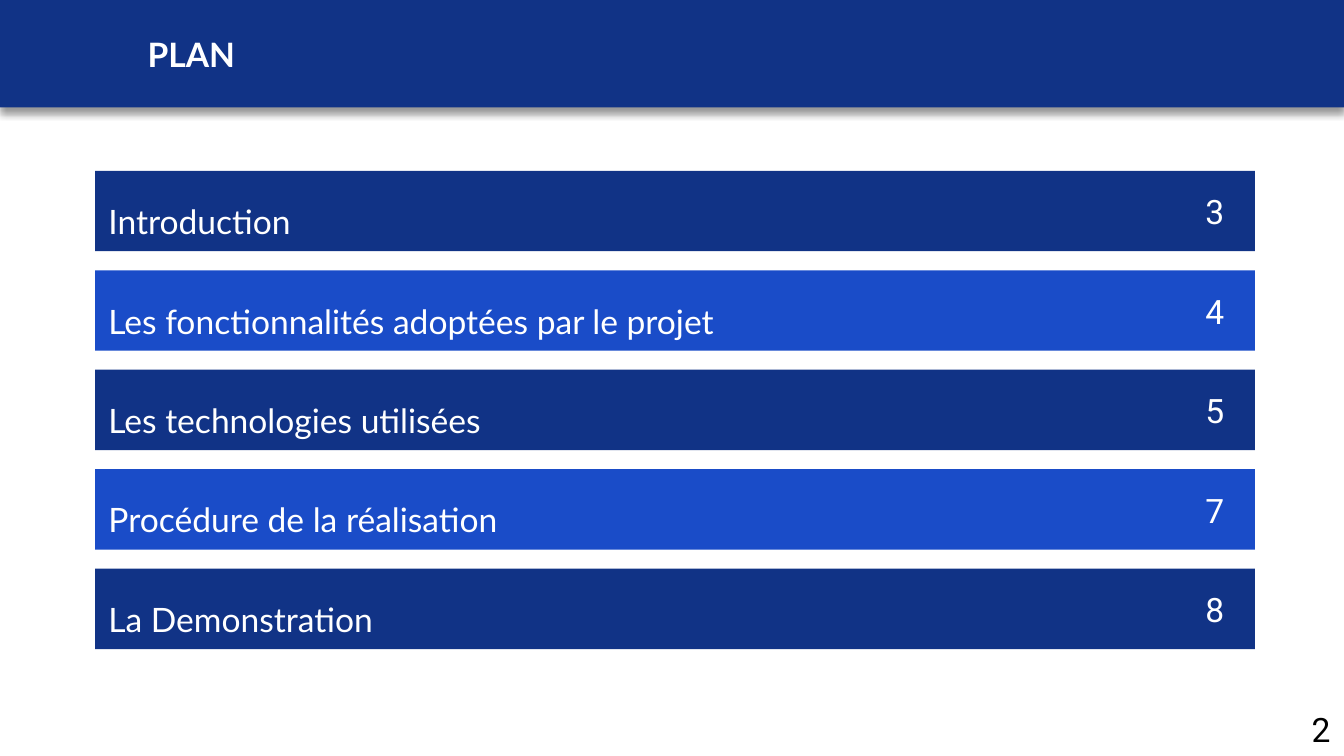
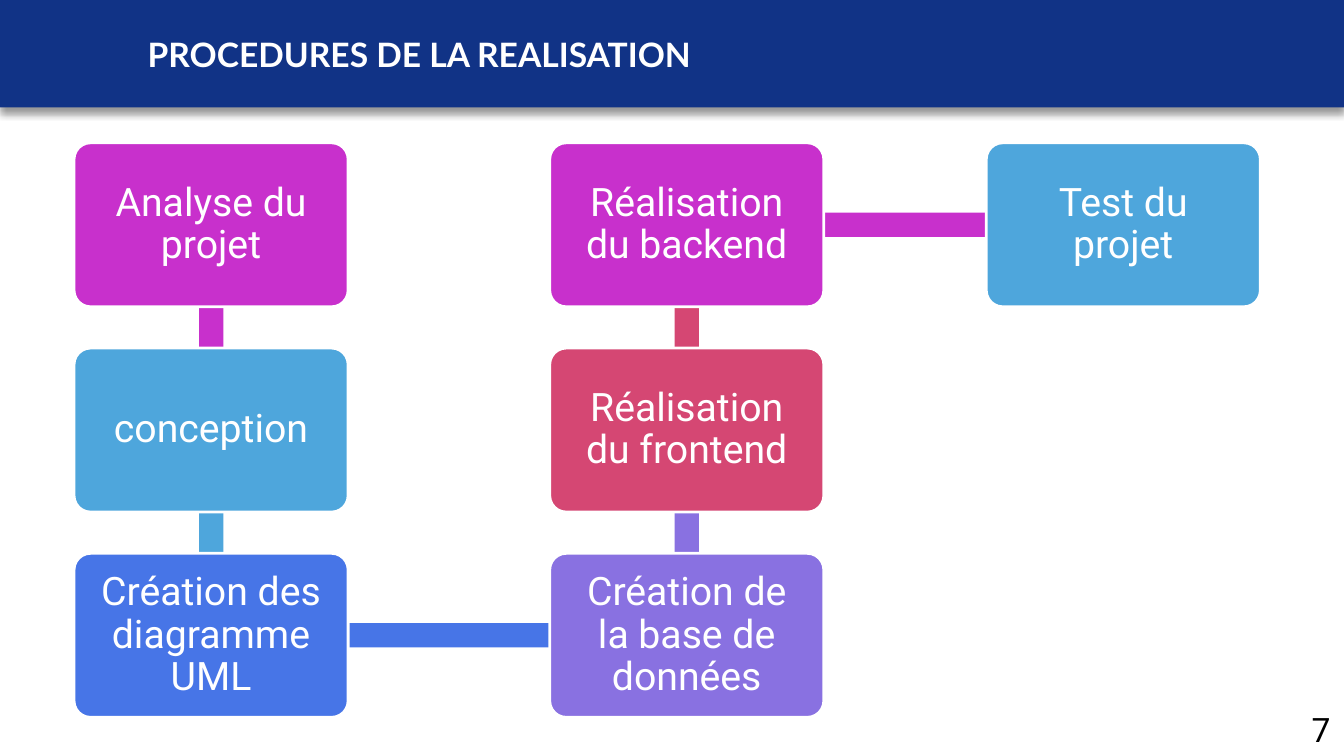
from dataclasses import dataclass

from lxml.etree import SubElement
from pptx import Presentation
from pptx.dml.color import RGBColor
from pptx.enum.shapes import MSO_SHAPE as Shape
from pptx.enum.text import MSO_ANCHOR as Anchor, MSO_AUTO_SIZE as AutoSize, PP_ALIGN as Align
from pptx.oxml.ns import qn
from pptx.util import Cm, Pt


@dataclass(frozen=True)
class Theme:
    navy: str = "113386"
    royal: str = "1A4CC8"
    white: str = "FFFFFF"
    black: str = "000000"
    magenta: str = "C830CC"
    sky: str = "4EA6DC"
    blue: str = "4775E7"
    violet: str = "8971E1"
    rose: str = "D54773"
    heading: str = "Lato"
    body: str = "Roboto"
    text_size: int = 18
    step_size: int = 21


THEME = Theme()


@dataclass(frozen=True)
class Chapter:
    title: str
    page: int


@dataclass(frozen=True)
class Step:
    text: str
    col: int
    row: int
    color: str


# Lengths in centimetres
SLIDE_W, SLIDE_H, BAND_H = 25.4, 14.29, 2.03
BAR_X, BAR_Y, BAR_W, BAR_H, BAR_PITCH = 1.8, 3.23, 21.92, 1.52, 1.88
PAGE_X, PAGE_DY = 22.53, 0.26
NUMBER_W, NUMBER_H = 0.86, 1.02
STEP_COLS, STEP_Y, STEP_PITCH = (1.4, 10.39, 18.64), 2.7, 3.88
STEP_W, STEP_H, LINK_W = 5.18, 3.1, 0.46

CHAPTERS = (
    Chapter("Introduction", 3),
    Chapter("Les fonctionnalités adoptées par le projet", 4),
    Chapter("Les technologies utilisées", 5),
    Chapter("Procédure de la réalisation", 7),
    Chapter("La Demonstration", 8),
)

STEPS = (
    Step("Analyse du projet", 0, 0, THEME.magenta),
    Step("conception", 0, 1, THEME.sky),
    Step("Création des diagramme UML", 0, 2, THEME.blue),
    Step("Création de la base de données", 1, 2, THEME.violet),
    Step("Réalisation du frontend", 1, 1, THEME.rose),
    Step("Réalisation du backend", 1, 0, THEME.magenta),
    Step("Test du projet", 2, 0, THEME.sky),
)


def put_text(sp, text: str, *, font: str = THEME.body, size: int = THEME.text_size,
             color: str = THEME.white, bold: bool = False, align=Align.LEFT,
             anchor=Anchor.MIDDLE, spacing: float = 1.0, wrap: bool = True) -> None:
    tf = sp.text_frame
    tf.word_wrap = wrap
    tf.auto_size = AutoSize.NONE if wrap else AutoSize.SHAPE_TO_FIT_TEXT
    tf.vertical_anchor = anchor
    p = tf.paragraphs[0]
    p.alignment = align
    p.line_spacing = spacing
    r = p.add_run()
    r.text = text
    r.font.name = font
    r.font.size = Pt(size)
    r.font.bold = bold
    r.font.color.rgb = RGBColor.from_string(color)


def paint(sp, color: str) -> None:
    sp.fill.solid()
    sp.fill.fore_color.rgb = RGBColor.from_string(color)


def add_box(s, kind, x: float, y: float, w: float, h: float, color: str):
    sp = s.shapes.add_shape(kind, Cm(x), Cm(y), Cm(w), Cm(h))
    sp.shadow.inherit = False
    paint(sp, color)
    sp.line.fill.background()
    return sp


def add_number(s, number: int, x: float, y: float, color: str) -> None:
    sp = s.shapes.add_textbox(Cm(x), Cm(y), Cm(NUMBER_W), Cm(NUMBER_H))
    put_text(sp, str(number), color=color, anchor=Anchor.TOP, wrap=False)


def add_band_shadow(sp) -> None:
    effects = SubElement(sp.element.spPr, qn("a:effectLst"))
    shadow = SubElement(effects, qn("a:outerShdw"), blurRad=str(Pt(4)),
                        dist=str(Pt(3)), dir="5400000", rotWithShape="0")
    color = SubElement(shadow, qn("a:srgbClr"), val=THEME.black)
    SubElement(color, qn("a:alpha"), val="40000")


def add_slide(prs, title: str, number: int):
    """Add a slide with its title band and page number."""
    s = prs.slides.add_slide(prs.slide_layouts[5])
    sp = s.shapes.title
    sp.left, sp.top, sp.width, sp.height = Cm(0), Cm(0), Cm(SLIDE_W), Cm(BAND_H)
    paint(sp, THEME.navy)
    add_band_shadow(sp)
    sp.text_frame.margin_left = Cm(2.79)
    put_text(sp, title, font=THEME.heading, bold=True)
    add_number(s, number, SLIDE_W - NUMBER_W, SLIDE_H - NUMBER_H, THEME.black)
    return s


def add_chapter(s, chapter: Chapter, index: int) -> None:
    y = BAR_Y + index * BAR_PITCH
    color = THEME.royal if index % 2 else THEME.navy
    sp = add_box(s, Shape.RECTANGLE, BAR_X, y, BAR_W, BAR_H, color)
    put_text(sp, chapter.title, font=THEME.heading, spacing=1.5)
    add_number(s, chapter.page, PAGE_X, y + PAGE_DY, THEME.white)


def step_center(step: Step) -> tuple[float, float]:
    return (STEP_COLS[step.col] + STEP_W / 2,
            STEP_Y + step.row * STEP_PITCH + STEP_H / 2)


def add_link(s, start: Step, end: Step) -> None:
    """Join two step centres; the boxes drawn later cover the ends."""
    (x1, y1), (x2, y2) = step_center(start), step_center(end)
    length = abs(x2 - x1) + abs(y2 - y1)
    sp = add_box(s, Shape.RECTANGLE, (x1 + x2 - length) / 2,
                 (y1 + y2 - LINK_W) / 2, length, LINK_W, start.color)
    if start.col == end.col:
        sp.rotation = 90 if end.row > start.row else 270


def add_step(s, step: Step) -> None:
    x, y = step_center(step)
    sp = add_box(s, Shape.ROUNDED_RECTANGLE, x - STEP_W / 2, y - STEP_H / 2,
                 STEP_W, STEP_H, step.color)
    sp.adjustments[0] = 0.1
    sp.line.color.rgb = RGBColor.from_string(THEME.white)
    sp.line.width = Pt(1.5)
    tf = sp.text_frame
    tf.margin_left = tf.margin_right = Cm(0.28)
    put_text(sp, step.text, size=THEME.step_size, align=Align.CENTER, spacing=0.9)


def main() -> None:
    prs = Presentation()
    prs.slide_width, prs.slide_height = Cm(SLIDE_W), Cm(SLIDE_H)

    # Plan
    s = add_slide(prs, "PLAN", 2)
    for index, chapter in enumerate(CHAPTERS):
        add_chapter(s, chapter, index)

    # Procedure: links first, then the boxes above them
    s = add_slide(prs, "PROCEDURES DE LA REALISATION", 7)
    for start, end in zip(STEPS, STEPS[1:]):
        add_link(s, start, end)
    for step in STEPS:
        add_step(s, step)

    prs.save("out.pptx")


if __name__ == "__main__":
    main()
